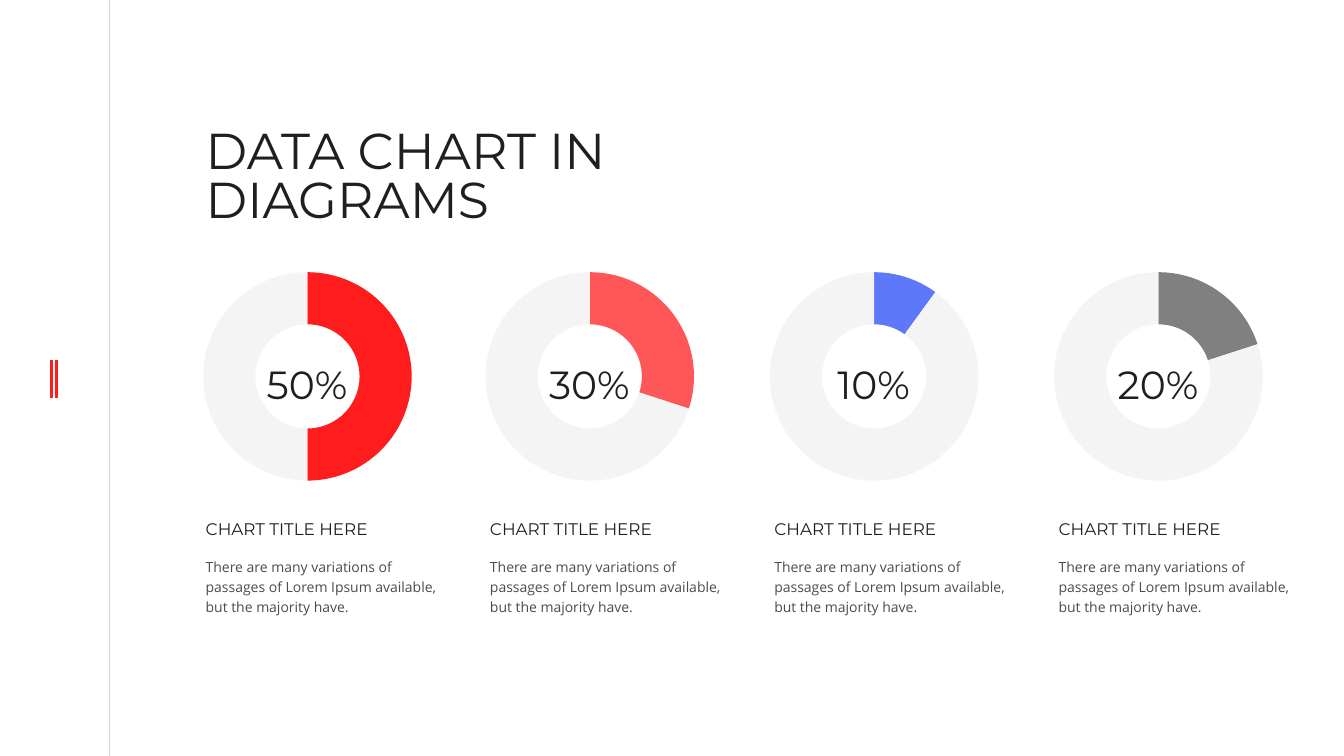
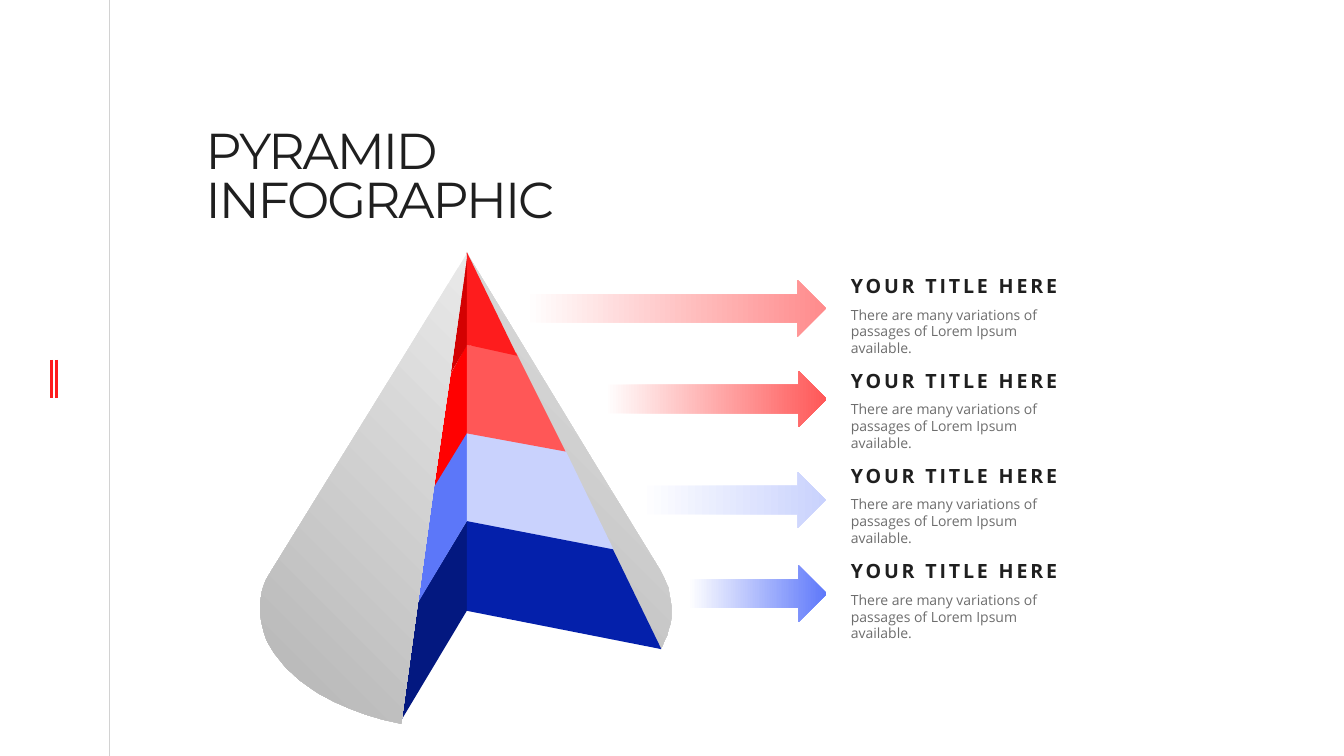
from dataclasses import dataclass

from lxml.etree import SubElement
from pptx import Presentation
from pptx.chart.data import CategoryChartData
from pptx.dml.color import RGBColor
from pptx.enum.chart import XL_CHART_TYPE
from pptx.enum.shapes import MSO_CONNECTOR, MSO_SHAPE
from pptx.enum.text import MSO_ANCHOR, MSO_AUTO_SIZE, PP_ALIGN
from pptx.oxml.ns import qn
from pptx.util import Pt

PX = 9144


@dataclass(frozen=True)
class Style:
    size: int
    font: str
    color: str
    bold: bool = False
    tracking: float = 0
    leading: float = 1.0
    before: int = 0
    align: PP_ALIGN = PP_ALIGN.LEFT


@dataclass(frozen=True)
class Theme:
    heading: str = "Montserrat"
    body: str = "Open Sans"
    ink: str = "1F1F1F"
    soft_ink: str = "4C4C4C"
    pale_ink: str = "6D6D6D"
    rule: str = "D2D2D2"
    track: str = "F4F4F4"
    red: str = "FE1C1D"
    coral: str = "FF5757"
    rose: str = "FF8B8C"
    vivid_red: str = "FF0101"
    dark_red: str = "D30102"
    blue: str = "5E78FA"
    mid_blue: str = "5C77F9"
    pale_blue: str = "C9D2FD"
    deep_blue: str = "0420AB"
    navy: str = "031880"
    gray: str = "808080"
    cone_dark: str = "B5B5B5"
    cone_light: str = "E9E9E9"
    white: str = "FFFFFF"


T = Theme()
TITLE = Style(36, T.heading, T.ink, leading=0.8)
TIGHT_TITLE = Style(36, T.heading, T.ink, tracking=-1.5, leading=0.8)
PERCENT = Style(28, T.heading, T.ink, leading=1.45, align=PP_ALIGN.CENTER)
CAPTION = Style(12, T.heading, T.ink, leading=0.7)
DETAIL = Style(10, T.body, T.soft_ink, leading=1.2)
STEP_TITLE = Style(14, T.body, T.ink, bold=True, tracking=2, before=6)
STEP_DETAIL = Style(10, T.body, T.pale_ink, before=6)


@dataclass(frozen=True)
class Dial:
    left: int
    value: int
    color: str


@dataclass(frozen=True)
class Face:
    color: str
    points: tuple[tuple[int, int], ...]


@dataclass(frozen=True)
class Arrow:
    left: int
    top: int
    width: int
    color: str


DIALS = (
    Dial(156, 50, T.red),
    Dial(436, 30, T.coral),
    Dial(718, 10, T.blue),
    Dial(1000, 20, T.gray),
)

INNER_LEFT = (
    Face(T.vivid_red, ((430, 488), (447, 371), (463, 342), (464, 431))),
    Face(T.dark_red, ((446, 372), (447, 370), (463, 251), (463, 343))),
    Face(T.navy, ((396, 718), (413, 600), (463, 517), (463, 606))),
    Face(T.mid_blue, ((412, 602), (413, 600), (430, 484), (463, 430), (463, 517))),
)
SHELLS = (
    Face(T.cone_light, (
        (414, 602), (430, 486), (447, 370), (464, 250), (399, 356), (270, 565),
        (267, 570), (264, 575), (262, 580), (260, 586), (259, 592), (258, 598),
        (258, 609), (259, 615), (260, 620), (262, 628), (264, 634), (266, 638),
        (269, 643), (272, 648), (276, 653), (280, 658), (285, 664), (290, 668),
        (296, 674), (303, 679), (310, 684), (316, 688), (331, 696), (347, 703),
        (363, 709), (380, 714), (398, 718))),
    Face(T.cone_light, (
        (666, 602), (665, 595), (664, 590), (663, 583), (661, 579), (659, 574),
        (655, 566), (590, 460), (463, 251), (511, 351), (559, 448), (607, 546),
        (655, 644), (657, 641), (659, 636), (662, 630), (663, 625), (665, 619),
        (666, 613))),
)
INNER_RIGHT = (
    Face(T.pale_blue, ((609, 546), (463, 518), (463, 429), (561, 447))),
    Face(T.deep_blue, ((656, 644), (463, 606), (463, 517), (608, 545))),
    Face(T.coral, ((561, 448), (463, 430), (463, 342), (512, 350))),
    Face(T.red, ((513, 353), (463, 342), (463, 250))),
)
ARROWS = (
    Arrow(521, 278, 298, T.rose),
    Arrow(600, 368, 220, T.coral),
    Arrow(635, 468, 184, T.pale_blue),
    Arrow(683, 561, 137, T.blue),
)


def rgb(color: str) -> RGBColor:
    return RGBColor.from_string(color)


def add_text(s, box: tuple, lines: tuple, insets: tuple = (0, 5, 0, 5),
             anchor=MSO_ANCHOR.TOP, grow: bool = False) -> None:
    sp = s.shapes.add_textbox(*(v * PX for v in box))
    tf = sp.text_frame
    tf.word_wrap = True
    tf.vertical_anchor = anchor
    tf.auto_size = MSO_AUTO_SIZE.SHAPE_TO_FIT_TEXT if grow else MSO_AUTO_SIZE.NONE
    tf.margin_left, tf.margin_top, tf.margin_right, tf.margin_bottom = (
        v * PX for v in insets)
    tf.text = "\n".join(text for text, _ in lines)
    for p, (_, style) in zip(tf.paragraphs, lines):
        p.alignment = style.align
        p.line_spacing = style.leading
        p.space_before = Pt(style.before)
        for r in p.runs:
            r.font.size = Pt(style.size)
            r.font.name = style.font
            r.font.bold = style.bold
            r.font.color.rgb = rgb(style.color)
            if style.tracking:
                r._r.get_or_add_rPr().set("spc", str(int(style.tracking * 100)))


def add_rule(s, x: int, top: int, bottom: int, color: str, width: float) -> None:
    line = s.shapes.add_connector(
        MSO_CONNECTOR.STRAIGHT, x * PX, top * PX, x * PX, bottom * PX)
    line.line.color.rgb = rgb(color)
    line.line.width = Pt(width)
    SubElement(line.element.spPr, qn("a:effectLst"))


def add_base_slide(prs, title: str, style: Style):
    s = prs.slides.add_slide(prs.slide_layouts[6])
    add_rule(s, 108, 0, 750, T.rule, 0.5)
    for x in (51, 56):
        add_rule(s, x, 357, 395, T.red, 2)
    add_text(s, (204, 109, 462, 177), ((title, style),), (0, 21, 0, 0))
    return s


def fill_gradient(sp, start: str, end: str, radial: bool = False) -> None:
    sp.fill.gradient()
    sp.fill.gradient_angle = 0
    for stop, color, position in zip(sp.fill.gradient_stops, (start, end), (0, 1)):
        stop.color.rgb = rgb(color)
        stop.position = position
    if radial:
        grad = sp.element.spPr.find(qn("a:gradFill"))
        grad.remove(grad.find(qn("a:lin")))
        circle = SubElement(grad, qn("a:path"), {"path": "circle"})
        SubElement(circle, qn("a:fillToRect"),
                   {"l": "0", "t": "100000", "r": "100000", "b": "0"})


def set_plot_area(chart, x: float, y: float, w: float, h: float) -> None:
    area = chart.element.find(".//" + qn("c:plotArea"))
    for old in area.findall(qn("c:layout")):
        area.remove(old)
    layout = SubElement(area, qn("c:layout"))
    area.insert(0, layout)
    manual = SubElement(layout, qn("c:manualLayout"))
    settings = (("layoutTarget", "inner"), ("xMode", "edge"), ("yMode", "edge"),
                ("x", x), ("y", y), ("w", w), ("h", h))
    for tag, value in settings:
        SubElement(manual, qn(f"c:{tag}"), {"val": str(value)})


def add_dial(s, dial: Dial) -> None:
    data = CategoryChartData()
    data.categories = ("1", "2")
    data.add_series("Series 1", (dial.value, 100 - dial.value))
    chart = s.shapes.add_chart(XL_CHART_TYPE.DOUGHNUT, dial.left * PX, 256 * PX,
                               298 * PX, 235 * PX, data).chart
    chart.has_title = False
    chart.has_legend = False
    chart.font.size = Pt(10)
    chart.font.name = T.body
    chart.font.color.rgb = rgb(T.ink)
    plot = chart.plots[0]
    plot.vary_by_categories = True
    for i, color in enumerate((dial.color, T.track)):
        look = plot.series[0].points[i].format
        look.fill.solid()
        look.fill.fore_color.rgb = rgb(color)
        look.line.fill.background()
    chart.element.find(".//" + qn("c:holeSize")).set("val", "80")
    set_plot_area(chart, 0.15, 0.06, 0.7, 0.88)
    add_text(s, (dial.left + 85, 344, 127, 57), ((f"{dial.value}%", PERCENT),),
             (10, 0, 10, 5), MSO_ANCHOR.MIDDLE)


def add_face(group, face: Face, shell: bool = False) -> None:
    builder = group.shapes.build_freeform(*face.points[0], scale=PX)
    builder.add_line_segments(face.points[1:], close=True)
    sp = builder.convert_to_shape()
    sp.shadow.inherit = False
    sp.line.fill.background()
    if shell:
        fill_gradient(sp, T.cone_dark, face.color, radial=True)
    else:
        sp.fill.solid()
        sp.fill.fore_color.rgb = rgb(face.color)


def add_arrow(s, arrow: Arrow) -> None:
    sp = s.shapes.add_shape(MSO_SHAPE.RIGHT_ARROW, arrow.left * PX, arrow.top * PX,
                            arrow.width * PX, 56 * PX)
    sp.shadow.inherit = False
    sp.line.fill.background()
    fill_gradient(sp, T.white, arrow.color)


def build_charts(prs) -> None:
    s = add_base_slide(prs, "DATA CHART IN DIAGRAMS", TITLE)
    detail = ("There are many variations of passages of Lorem Ipsum available, "
              "but the majority have.")
    for i, dial in enumerate(DIALS):
        left = 204 + 282 * i
        add_dial(s, dial)
        add_text(s, (left, 515, 235, 26), (("CHART TITLE HERE", CAPTION),), grow=True)
        add_text(s, (left, 546, 232, 71), ((detail, DETAIL),), grow=True)


def build_pyramid(prs) -> None:
    s = add_base_slide(prs, "PYRAMID INFOGRAPHIC", TIGHT_TITLE)
    cone = s.shapes.add_group_shape()
    for face in INNER_LEFT:
        add_face(cone, face)
    for face in SHELLS:
        add_face(cone, face, shell=True)
    for face in INNER_RIGHT:
        add_face(cone, face)
    detail = "There are many variations of passages of Lorem Ipsum available."
    for i, arrow in enumerate(ARROWS):
        add_arrow(s, arrow)
        add_text(s, (831, 267 + 283 * i // 3, 244, 94),
                 (("YOUR TITLE HERE", STEP_TITLE), (detail, STEP_DETAIL)),
                 (13, 5, 13, 7), grow=True)


def main() -> None:
    prs = Presentation()
    prs.slide_width, prs.slide_height = 1333 * PX, 750 * PX
    build_charts(prs)
    build_pyramid(prs)
    prs.save("out.pptx")


if __name__ == "__main__":
    main()
